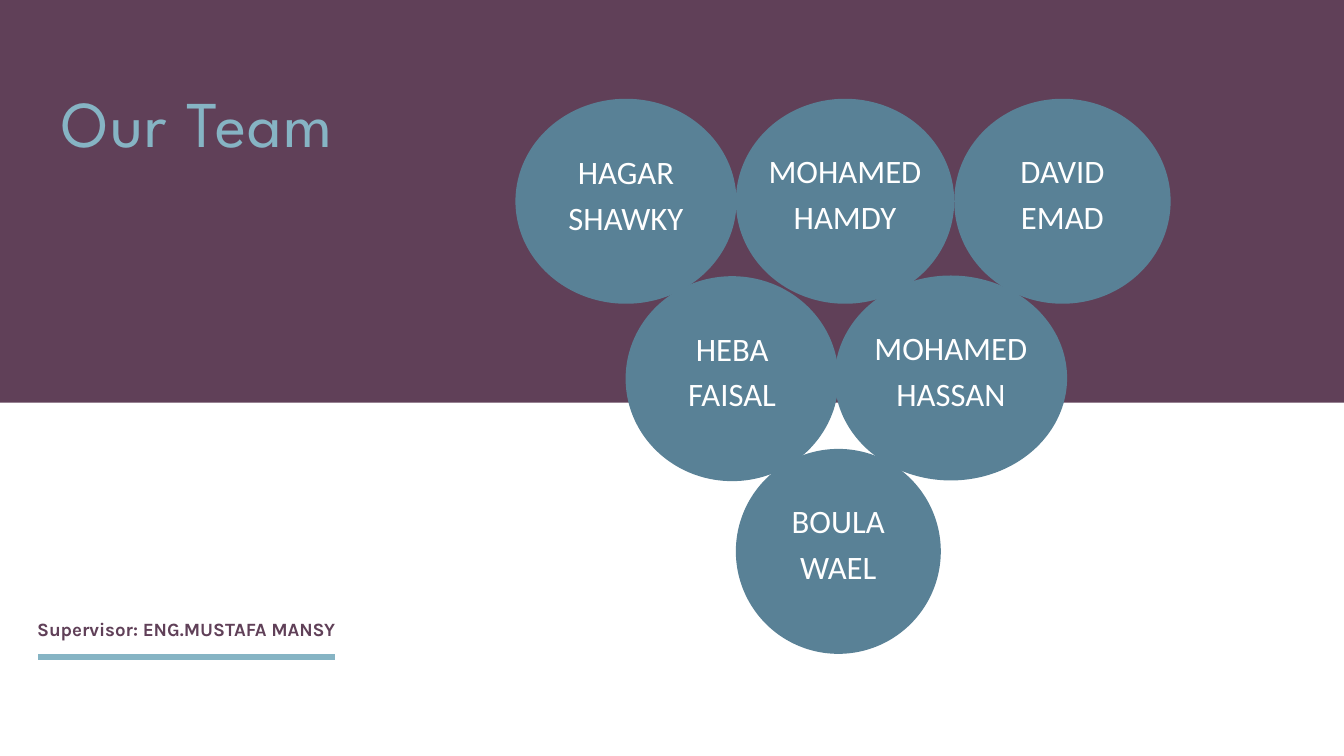
from pptx import Presentation
from pptx.dml.color import RGBColor
from pptx.enum.shapes import MSO_CONNECTOR, MSO_SHAPE
from pptx.enum.text import MSO_ANCHOR, PP_ALIGN
from pptx.util import Inches, Pt
from lxml.etree import SubElement
from pptx.oxml.ns import qn

PLUM = RGBColor(0x60, 0x40, 0x58)
TEAL = RGBColor(0x59, 0x81, 0x96)
SKY = RGBColor(0x86, 0xB4, 0xC4)
WHITE = RGBColor(0xFF, 0xFF, 0xFF)

CIRCLE_HEIGHT = 3.05
LABEL_RATIO = 0.8125
LABEL_RISE = 0.04
LABEL_BOTTOM = 2.76

TEAM = [
    ("DAVID EMAD", 14.2, 1.47, 3.22, LABEL_RISE),
    ("HAGAR SHAWKY", 7.67, 1.47, 3.29, 0),
    ("MOHAMED HASSAN", 12.42, 4.1, 3.46, LABEL_RISE),
    ("HEBA FAISAL", 9.31, 4.11, 3.17, LABEL_RISE),
    ("MOHAMED HAMDY", 10.95, 1.47, 3.25, LABEL_RISE),
    ("BOULA WAEL", 10.95, 6.68, 3.05, LABEL_RISE),
]


class TeamSlide:
    def __init__(self, page):
        self.shapes = page.shapes

    def shape(self, kind, left, top, width, height, color):
        shape = self.shapes.add_shape(
            kind, Inches(left), Inches(top), Inches(width), Inches(height))
        shape.shadow.inherit = False
        shape.fill.solid()
        shape.fill.fore_color.rgb = color
        shape.line.fill.background()

    def text(self, words, left, top, width, height, font, size, color, leading,
             align=PP_ALIGN.CENTER, anchor=MSO_ANCHOR.TOP, inset=0, bold=False,
             tracking=0):
        box = self.shapes.add_textbox(
            Inches(left), Inches(top), Inches(width), Inches(height))
        frame = box.text_frame
        frame.word_wrap = True
        frame.vertical_anchor = anchor
        frame.margin_left = frame.margin_right = Inches(inset)
        frame.margin_top = frame.margin_bottom = Inches(inset)
        frame.text = words
        para = frame.paragraphs[0]
        para.alignment = align
        para.line_spacing = Pt(leading)
        span = para.runs[0]
        span.font.name = font
        span.font.size = Pt(size)
        span.font.bold = bold
        span.font.color.rgb = color
        if tracking:
            span.font._element.set("spc", str(round(tracking * 100)))

    def member(self, name, left, top, width, rise):
        self.shape(MSO_SHAPE.OVAL, left, top, width, CIRCLE_HEIGHT, TEAL)
        label_width = width * LABEL_RATIO
        self.text(name, left + (width - label_width) / 2, top - rise,
                  label_width, LABEL_BOTTOM + rise, "Calibri", 35, WHITE, 49,
                  anchor=MSO_ANCHOR.MIDDLE, inset=0.06)

    def rule(self, left, right, height, color, weight):
        line = self.shapes.add_connector(
            MSO_CONNECTOR.STRAIGHT, Inches(left), Inches(height),
            Inches(right), Inches(height))
        line.line.color.rgb = color
        line.line.width = Pt(weight)
        SubElement(line._element.spPr, qn("a:effectLst"))


def main():
    deck = Presentation()
    deck.slide_width = Inches(20)
    deck.slide_height = Inches(11.25)
    slide = TeamSlide(deck.slides.add_slide(deck.slide_layouts[6]))

    slide.shape(MSO_SHAPE.RECTANGLE, 0, 0, 20, 5.99, PLUM)
    slide.text("Our Team", 0.92, 1.12, 10.33, 1.24, "League Spartan", 70, SKY,
               91, align=PP_ALIGN.LEFT, tracking=1.7)
    for member in TEAM:
        slide.member(*member)
    slide.rule(0.57, 4.99, 9.78, SKY, 6.75)
    slide.text("Supervisor: ENG.MUSTAFA MANSY", 0.34, 9.13, 4.86, 0.38,
               "Karla", 20.1, PLUM, 28.2, bold=True)
    deck.save("out.pptx")


if __name__ == "__main__":
    main()
